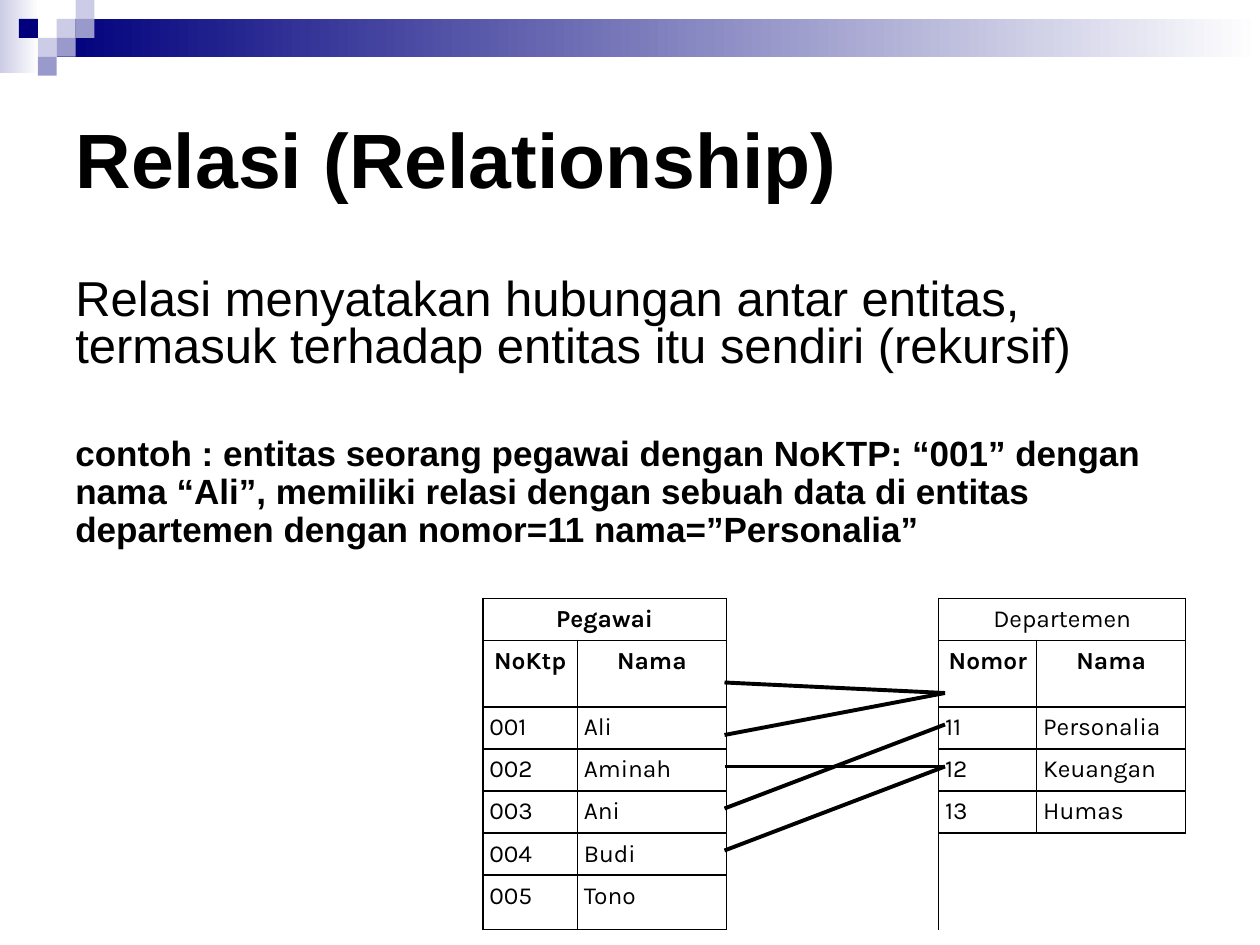
from typing import NamedTuple

from lxml import etree
from pptx import Presentation
from pptx import util as u
from pptx.dml.color import RGBColor
from pptx.enum import shapes, text
from pptx.oxml import ns

HUES = {"ink": "000000", "paper": "FFFFFF", "navy": "00007D",
        "pale": "CCCCE6", "mid": "9999CC"}
STEP = 10.8
PLAIN = "{2D5ABB26-0587-4C30-8999-92F81FD0307C}"


class Box(NamedTuple):
    left: float
    top: float
    width: float
    height: float


class Tile(NamedTuple):
    col: int
    row: int
    hue: str


class Link(NamedTuple):
    start: float
    end: float


FADES = [(Box(0, 0, 22.3, 41.8), "pale"),
         (Box(3 * STEP, STEP, 720 - 3 * STEP, 2 * STEP), "navy")]
TILES = [Tile(3, 1, "pale"), Tile(4, 0, "pale"), Tile(4, 1, "mid"),
         Tile(2, 2, "pale"), Tile(1, 1, "navy"), Tile(3, 2, "mid"),
         Tile(2, 3, "mid")]
LINKS = [Link(390, 396), Link(420, 396), Link(438, 438),
         Link(486, 438), Link(462, 414)]
COLS = [54, 85, 121.5, 56, 85]
ROWS = [19.5, 38, 19.5, 19.5, 19.5, 19.5, 31]
DATA = [
    ["Pegawai", "", "", "Departemen", ""],
    ["NoKtp", "Nama", "", "Nomor", "Nama"],
    ["001", "Ali", "", "11", "Personalia"],
    ["002", "Aminah", "", "12", "Keuangan"],
    ["003", "Ani", "", "13", "Humas"],
    ["004", "Budi", "", "", ""],
    ["005", "Tono", "", "", ""],
]
MERGES = [(0, 0, 0, 1), (0, 2, 6, 2), (0, 3, 0, 4), (5, 3, 6, 4)]


def tint(name: str) -> RGBColor:
    return RGBColor.from_string(HUES[name])


def style(para, face: str, size: float, bold: bool) -> None:
    font = para.font
    font.name, font.size, font.bold = face, u.Pt(size), bold
    font.color.rgb = tint("ink")


def add_rect(slide, box: Box):
    rect = slide.shapes.add_shape(shapes.MSO_SHAPE.RECTANGLE, *map(u.Pt, box))
    rect.shadow.inherit = False
    rect.line.fill.background()
    return rect


def add_fade(slide, box: Box, hue: str) -> None:
    fill = add_rect(slide, box).fill
    fill.gradient()
    fill.gradient_angle = 0
    for stop, name in zip(fill.gradient_stops, (hue, "paper")):
        stop.color.rgb = tint(name)


def add_tile(slide, tile: Tile) -> None:
    box = Box(tile.col * STEP, tile.row * STEP, STEP, STEP)
    fill = add_rect(slide, box).fill
    fill.solid()
    fill.fore_color.rgb = tint(tile.hue)


def add_para(slide, box: Box, words: str, size: float, bold: bool,
             pitch: float, gap: float) -> None:
    frame = slide.shapes.add_textbox(*map(u.Pt, box)).text_frame
    frame.word_wrap = True
    para = frame.paragraphs[0]
    para.text = words
    para.line_spacing, para.space_before = pitch, u.Pt(gap)
    style(para, "Arial", size, bold)


def add_edges(cell, first: bool) -> None:
    prop = cell._tc.get_or_add_tcPr()
    widths = {"lnL": 1.08 if first else 0.45, "lnR": 0.45,
              "lnT": 1.08, "lnB": 1.08}
    for tag, width in widths.items():
        edge = etree.SubElement(prop, ns.qn(f"a:{tag}"), w=str(u.Pt(width)))
        fill = etree.SubElement(edge, ns.qn("a:solidFill"))
        etree.SubElement(fill, ns.qn("a:srgbClr"), val=HUES["ink"])


def add_grid(slide) -> None:
    box = Box(276, 342, sum(COLS), sum(ROWS))
    grid = slide.shapes.add_table(len(ROWS), len(COLS), *map(u.Pt, box)).table
    grid.first_row = grid.horz_banding = False
    grid._tbl.tblPr.find(ns.qn("a:tableStyleId")).text = PLAIN
    for col, width in zip(grid.columns, COLS):
        col.width = u.Pt(width)
    for row, height in zip(grid.rows, ROWS):
        row.height = u.Pt(height)
    for r, line in enumerate(DATA):
        for c, words in enumerate(line):
            cell = grid.cell(r, c)
            cell.margin_left = cell.margin_right = u.Pt(3.6)
            cell.margin_top = cell.margin_bottom = u.Pt(3.6)
            para = cell.text_frame.paragraphs[0]
            para.text = words
            head = r < 2
            para.alignment = (text.PP_ALIGN.CENTER if head
                              else text.PP_ALIGN.JUSTIFY)
            style(para, "Karla", 14, head and words != "Departemen")
            if words or (r == 0 and c != 2):
                add_edges(cell, c == 0)
            cell.fill.background()
    for top, left, low, right in MERGES:
        grid.cell(top, left).merge(grid.cell(low, right))


def add_link(slide, link: Link) -> None:
    ends = map(u.Pt, (414, link.start, 540, link.end))
    wire = slide.shapes.add_connector(shapes.MSO_CONNECTOR.STRAIGHT, *ends)
    wire.line.color.rgb = tint("ink")
    wire.line.width = u.Pt(2.25)
    etree.SubElement(wire._element.spPr, ns.qn("a:effectLst"))


def add_title(slide, box: Box, words: str) -> None:
    title = slide.shapes.title
    title.left, title.top, title.width, title.height = map(u.Pt, box)
    frame = title.text_frame
    frame.vertical_anchor = text.MSO_ANCHOR.MIDDLE
    para = frame.paragraphs[0]
    para.text = words
    para.alignment = text.PP_ALIGN.LEFT
    style(para, "Arial", 44, True)


def main() -> None:
    deck = Presentation()
    deck.slide_width, deck.slide_height = u.Pt(720), u.Pt(540)
    slide = deck.slides.add_slide(deck.slide_layouts[5])
    for box, hue in FADES:
        add_fade(slide, box, hue)
    for tile in TILES:
        add_tile(slide, tile)
    add_title(slide, Box(36, 36, 648, 108), "Relasi (Relationship)")
    add_para(slide, Box(36, 156, 648, 66),
             "Relasi menyatakan hubungan antar entitas, "
             "termasuk terhadap entitas itu sendiri (rekursif)",
             28, False, 0.8, 7)
    add_grid(slide)
    for link in LINKS:
        add_link(slide, link)
    add_para(slide, Box(36, 246, 648, 66),
             "contoh : entitas seorang pegawai dengan NoKTP: “001” dengan "
             "nama “Ali”, memiliki relasi dengan sebuah data di entitas "
             "departemen dengan nomor=11 nama=”Personalia”",
             20, True, 0.9, 5)
    deck.save("out.pptx")


if __name__ == "__main__":
    main()
